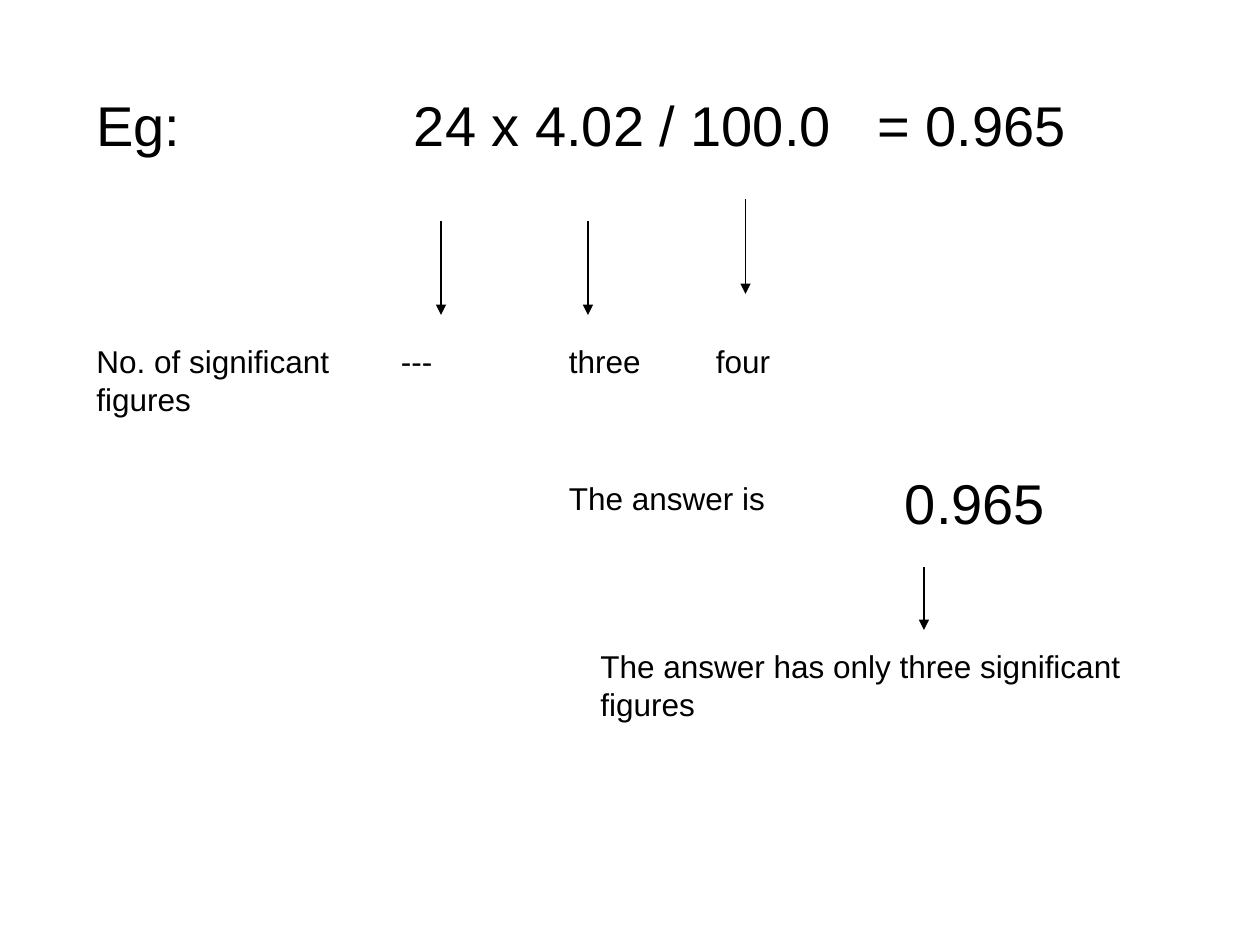
from lxml import etree
from pptx import Presentation
from pptx.dml.color import RGBColor
from pptx.enum.shapes import MSO_CONNECTOR
from pptx.enum.text import MSO_AUTO_SIZE
from pptx.oxml.ns import qn
from pptx.util import Inches, Pt

STRAIGHT = MSO_CONNECTOR.STRAIGHT
FIT_SHAPE = MSO_AUTO_SIZE.SHAPE_TO_FIT_TEXT

FONT = "Arial"
INK = "000000"
LARGE, SMALL = 32, 18
COLUMNS, ROWS = 120, 90
LINE_HEIGHT = {LARGE: 7.5, SMALL: 4.75}
EQUATION_TABS = [2.52, 6.2]

TEXTS = [
    ("Eg:\t24 x 4.02 / 100.0\t= 0.965", 8, 8, 104, 1, LARGE, EQUATION_TABS),
    ("No. of significant figures", 8, 32, 28, 2, SMALL, []),
    ("---", 37, 32, 11, 1, SMALL, []),
    ("three", 53, 32, 11, 1, SMALL, []),
    ("four", 67, 32, 11, 1, SMALL, []),
    ("The answer is", 53, 45, 28, 1, SMALL, []),
    ("0.965", 85, 44, 26, 1, LARGE, []),
    ("The answer has only three significant figures", 56, 61, 53, 2, SMALL, []),
]
ARROWS = [(42, 21, 9), (56, 21, 9), (71, 19, 9), (88, 54, 6)]

prs = Presentation()
prs.slide_width, prs.slide_height = Inches(10), Inches(7.5)
s = prs.slides.add_slide(prs.slide_layouts[6])


def color(value):
    return RGBColor.from_string(value)


def x(column):
    return round(prs.slide_width * column / COLUMNS)


def y(row):
    return round(prs.slide_height * row / ROWS)


def add_tabs(p, stops):
    tabs = etree.SubElement(p._p.get_or_add_pPr(), qn("a:tabLst"))
    for stop in stops:
        etree.SubElement(tabs, qn("a:tab"), pos=str(Inches(stop)), algn="l")


def add_text(text, column, row, width, lines, size, stops):
    height = y(LINE_HEIGHT[size] * lines - (lines - 1))
    tf = s.shapes.add_textbox(x(column), y(row), x(width), height).text_frame
    tf.word_wrap = True
    tf.auto_size = FIT_SHAPE
    p = tf.paragraphs[0]
    p.text = text
    if stops:
        add_tabs(p, stops)
    p.font.name = FONT
    p.font.size = Pt(size)
    p.font.color.rgb = color(INK)


def add_arrow(column, row, length):
    arrow = s.shapes.add_connector(
        STRAIGHT, x(column), y(row), x(column), y(row + length))
    arrow.line.color.rgb = color(INK)
    arrow.line.width = Pt(0.75)
    etree.SubElement(arrow.line._get_or_add_ln(), qn("a:tailEnd"), type="triangle")
    etree.SubElement(arrow._element.spPr, qn("a:effectLst"))


for text in TEXTS:
    add_text(*text)
for arrow in ARROWS:
    add_arrow(*arrow)

prs.save("out.pptx")
